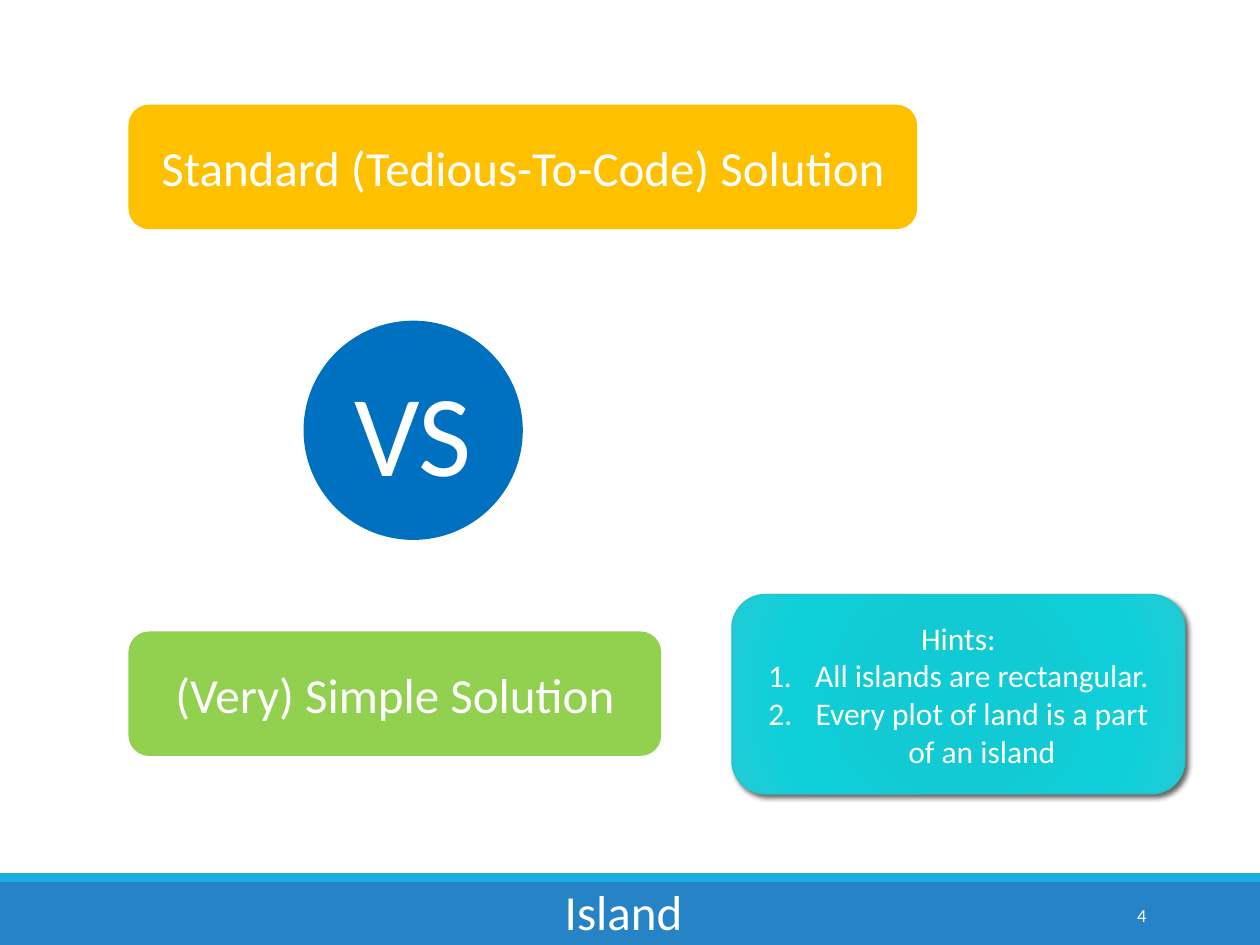
from lxml import etree
from pptx import Presentation
from pptx.dml.color import RGBColor
from pptx.enum.shapes import MSO_SHAPE as Shape
from pptx.enum.text import MSO_ANCHOR as Anchor, PP_ALIGN as Align
from pptx.oxml import parse_xml
from pptx.oxml.ns import nsdecls, qn
from pptx.util import Cm, Pt

FONT = "Calibri"
WHITE = "FFFFFF"
GLOW = [(0, "0ECBD5"), (34, "12CAD3"), (70, "0FD0DA"), (100, "20CBD4")]


def rgb(code):
    return RGBColor.from_string(code)


def write(para, text, size, align=Align.CENTER):
    para.alignment = align
    run = para.add_run()
    run.text = text
    run.font.name = FONT
    run.font.size = Pt(size)
    run.font.color.rgb = rgb(WHITE)


def block(slide, kind, box, color):
    """Add a flat shape without outline or shadow."""
    shape = slide.shapes.add_shape(kind, *map(Cm, box))
    shape.shadow.inherit = False
    shape.fill.solid()
    shape.fill.fore_color.rgb = rgb(color)
    shape.line.fill.background()
    shape.text_frame.word_wrap = True
    shape.text_frame.vertical_anchor = Anchor.MIDDLE
    return shape


def label(slide, kind, box, color, text, size):
    shape = block(slide, kind, box, color)
    write(shape.text_frame.paragraphs[0], text, size)


def versus(slide, box):
    """Stack the two solutions with a round badge between them."""
    left, top, width, height = box
    bar, disc = 2.51, 4.42
    label(slide, Shape.ROUNDED_RECTANGLE, (left, top, width, bar),
          "FFC000", "Standard (Tedious-To-Code) Solution", 28)
    label(slide, Shape.OVAL,
          (left + 3.53, top + (height - disc) / 2, disc, disc),
          "0070C0", "VS", 66)
    label(slide, Shape.ROUNDED_RECTANGLE,
          (left, top + height - bar, 10.74, bar),
          "92D050", "(Very) Simple Solution", 28)


def glow(shape):
    """Give the shape a radial gradient and a soft drop shadow."""
    stops = "".join(
        f'<a:gs pos="{pos * 1000}"><a:srgbClr val="{color}"/></a:gs>'
        for pos, color in GLOW)
    grad = parse_xml(
        f'<a:gradFill {nsdecls("a")} rotWithShape="1"><a:gsLst>{stops}</a:gsLst>'
        '<a:path path="circle"><a:fillToRect l="100000" t="100000" '
        'r="100000" b="100000"/></a:path></a:gradFill>')
    props = shape._element.spPr
    props.replace(props.find(qn("a:solidFill")), grad)
    shadow = etree.SubElement(
        props.find(qn("a:effectLst")), qn("a:outerShdw"),
        blurRad=str(Pt(3)), dist=str(Pt(2)), dir="2700000",
        algn="tl", rotWithShape="0")
    black = etree.SubElement(shadow, qn("a:srgbClr"), val="000000")
    etree.SubElement(black, qn("a:alpha"), val="60000")


def number(para):
    props = para._p.get_or_add_pPr()
    props.set("marL", str(Cm(0.95)))
    props.set("indent", str(-Cm(0.95)))
    etree.SubElement(props, qn("a:buFont"), typeface="+mj-lt")
    etree.SubElement(props, qn("a:buAutoNum"), type="arabicPeriod")


def hints(slide, box, items):
    card = block(slide, Shape.ROUNDED_RECTANGLE, box, GLOW[0][1])
    card.line.color.rgb = rgb("28C4CC")
    card.line.width = Pt(1)
    glow(card)
    frame = card.text_frame
    write(frame.paragraphs[0], "Hints:", 18)
    for item in items:
        para = frame.add_paragraph()
        number(para)
        write(para, item, 18)


def footer(slide, box, name, page):
    """Draw the bottom band with the slide title and page number."""
    left, top, width, height = box
    strip = 0.18
    block(slide, Shape.RECTANGLE,
          (left, top + strip, width, height - strip), "2683C6")
    block(slide, Shape.RECTANGLE, (left, top, width, strip), "1CADE4")

    title = slide.shapes.title
    title.left, title.top = Cm(left + 11.13), Cm(top + 0.05)
    title.width, title.height = Cm(2.92), Cm(1.45)
    frame = title.text_frame
    frame.word_wrap = False
    frame.vertical_anchor = Anchor.TOP
    write(frame.paragraphs[0], name, 28, Align.LEFT)
    slide.shapes._spTree.append(title._element)

    note = slide.shapes.add_textbox(
        Cm(left + 20.62), Cm(top + 0.33), Cm(2.74), Cm(1.02))
    note.text_frame.word_wrap = True
    note.text_frame.vertical_anchor = Anchor.MIDDLE
    write(note.text_frame.paragraphs[0], page, 10.5, Align.RIGHT)


def main():
    deck = Presentation()
    deck.slide_width, deck.slide_height = Cm(25.4), Cm(19.05)
    slide = deck.slides.add_slide(deck.slide_layouts[5])
    versus(slide, (2.59, 2.11, 15.9, 13.13))
    footer(slide, (0, 17.6, 25.4, 1.45), "Island", "4")
    hints(slide, (14.76, 11.99, 9.12, 4.01),
          ["All islands are rectangular.",
           "Every plot of land is a part of an island"])
    deck.save("out.pptx")


if __name__ == "__main__":
    main()
